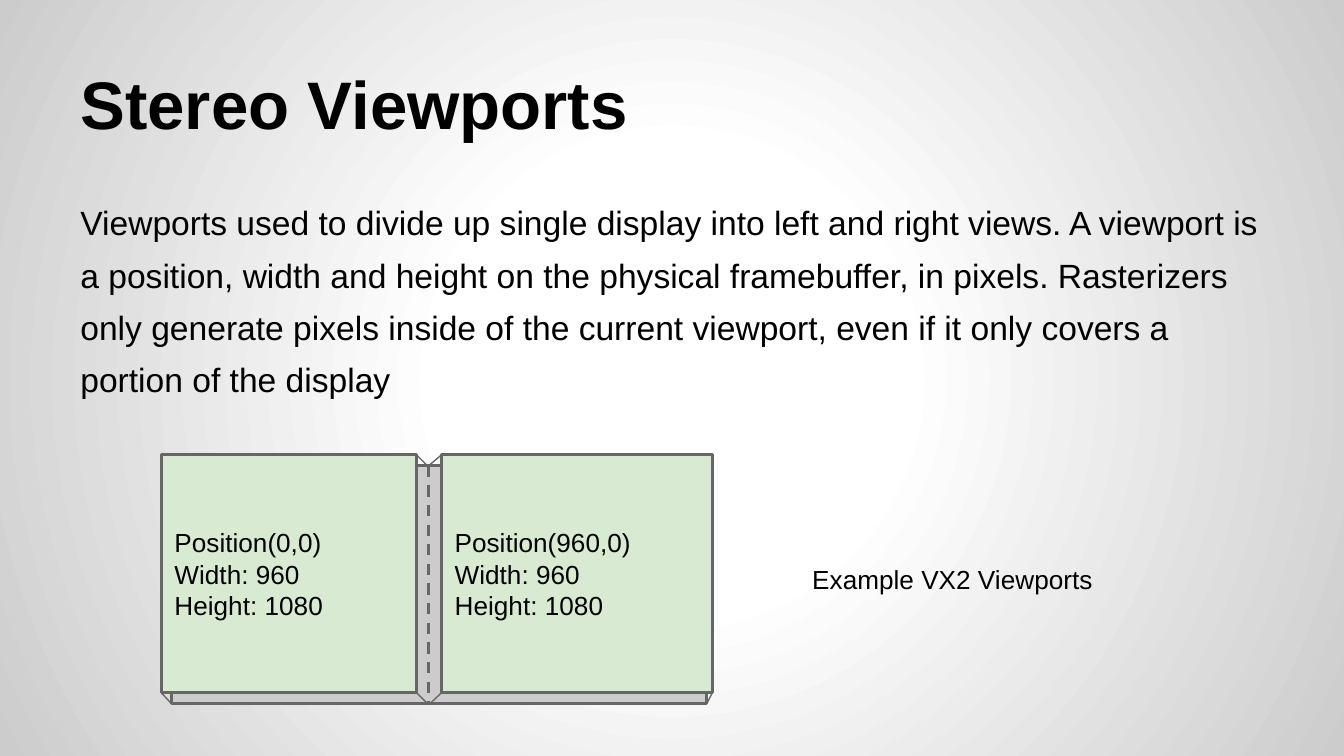
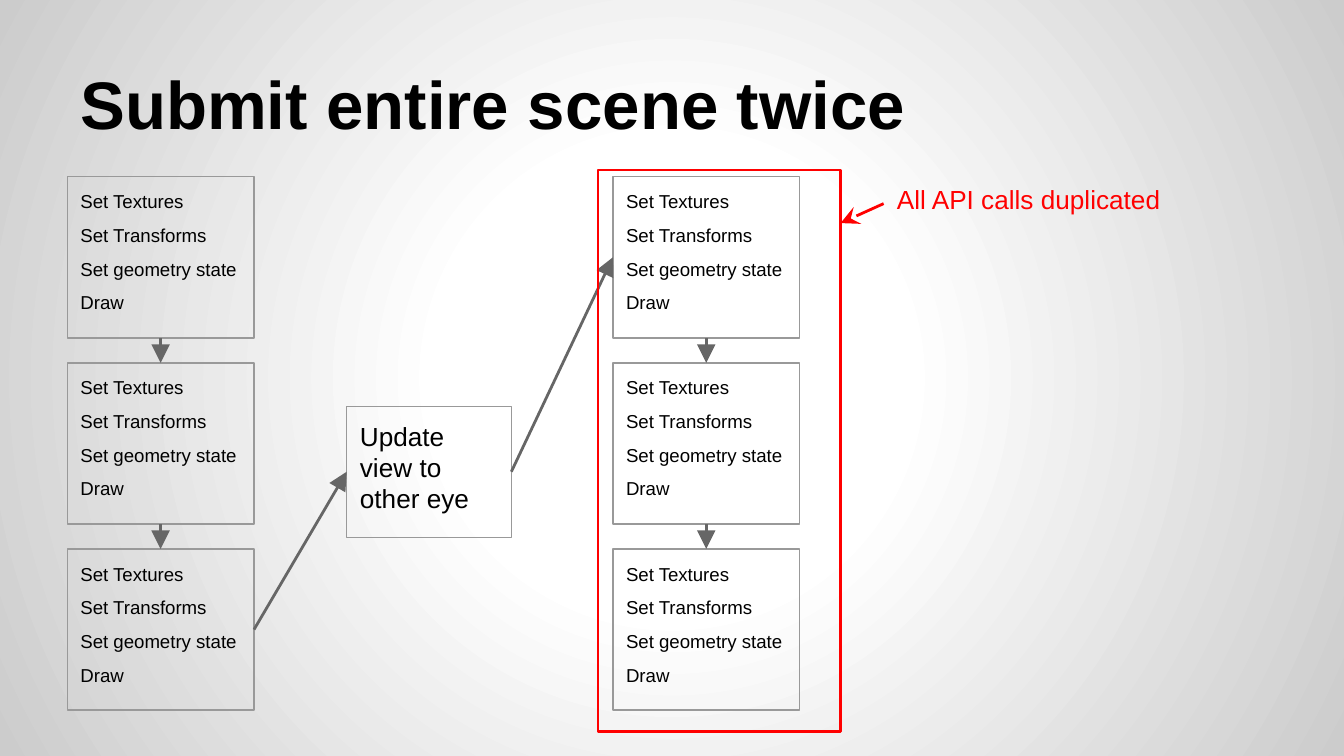
from lxml.etree import SubElement
from pptx import Presentation
from pptx.dml.color import RGBColor
from pptx.enum.dml import MSO_LINE
from pptx.enum.shapes import MSO_CONNECTOR, MSO_SHAPE
from pptx.enum.text import MSO_ANCHOR, PP_ALIGN
from pptx.oxml import parse_xml
from pptx.oxml.ns import nsdecls, qn
from pptx.util import Pt

PX = 4572
FONT = "Arial"
COLORS = {
    "text": "000000",
    "center": "FFFFFF",
    "edge": "CCCCCC",
    "display": "CCCCCC",
    "view": "D9EAD3",
    "line": "666666",
    "card": "999999",
    "accent": "FF0000",
}
CALLS = ["Set Textures", "Set Transforms", "Set geometry state", "Draw"]


def emu(*lengths):
    """Turn px lengths into EMU."""
    return [length * PX for length in lengths]


def rgb(name):
    """Look up a named colour."""
    return RGBColor.from_string(COLORS[name])


def write(sp, lines, size, color="text", bold=False, anchor=MSO_ANCHOR.TOP,
          spacing=None, before=0, after=0):
    """Fill a shape with left-aligned paragraphs."""
    tf = sp.text_frame
    tf.word_wrap = True
    tf.vertical_anchor = anchor
    tf.margin_left = tf.margin_right = tf.margin_top = tf.margin_bottom = 20 * PX
    tf.text = "\n".join(lines)
    for p in tf.paragraphs:
        p.alignment = PP_ALIGN.LEFT
        p.line_spacing = spacing
        p.space_before, p.space_after = Pt(before), Pt(after)
        for r in p.runs:
            r.font.name, r.font.size, r.font.bold = FONT, Pt(size), bold
            r.font.color.rgb = rgb(color)


def add_text(s, box, lines, size, **style):
    """Add a wrapped text box."""
    write(s.shapes.add_textbox(*emu(*box)), lines, size, **style)


def add_box(s, box, line, width, fill=None):
    """Add an outlined rectangle, hollow unless a fill is named."""
    sp = s.shapes.add_shape(MSO_SHAPE.RECTANGLE, *emu(*box))
    sp.shadow.inherit = False
    if fill:
        sp.fill.solid()
        sp.fill.fore_color.rgb = rgb(fill)
    else:
        sp.fill.background()
    sp.line.color.rgb = rgb(line)
    sp.line.width = Pt(width)
    return sp


def add_line(s, start, end, color="line", width=1.5, head=None, dash=None):
    """Add a straight connector with an optional arrowhead at its end."""
    c = s.shapes.add_connector(MSO_CONNECTOR.STRAIGHT, *emu(*start, *end))
    c.line.color.rgb = rgb(color)
    c.line.width = Pt(width)
    if dash:
        c.line.dash_style = dash
    spPr = c.element.spPr
    if head:
        SubElement(spPr.find(qn("a:ln")), qn("a:tailEnd"),
                   type=head, w="lg", len="lg")
    SubElement(spPr, qn("a:effectLst"))


def add_slide(prs, title):
    """Add a blank slide with the radial background and a title."""
    s = prs.slides.add_slide(prs.slide_layouts[6])
    stops = "".join(
        f'<a:gs pos="{pos}"><a:srgbClr val="{COLORS[name]}"/></a:gs>'
        for pos, name in [(0, "center"), (30000, "center"), (100000, "edge")])
    s.element.cSld.insert(0, parse_xml(
        f'<p:bg {nsdecls("p", "a")}><p:bgPr><a:gradFill rotWithShape="1">'
        f'<a:gsLst>{stops}</a:gsLst><a:path path="circle">'
        '<a:fillToRect l="50000" t="50000" r="50000" b="50000"/></a:path>'
        '</a:gradFill><a:effectLst/></p:bgPr></p:bg>'))
    add_text(s, (100, 45, 1800, 188), [title], 36, bold=True,
             anchor=MSO_ANCHOR.BOTTOM)
    return s


def add_viewports(s, box):
    """Draw two viewports raised above a split display."""
    x, y, w, h = box
    depth = 16
    view_h, bottom = h - depth, y + h - depth
    left_end, middle, right_x = x + 380, x + 398, x + 417
    add_box(s, (x + 15, y + depth, w - 24, view_h), "line", 1.5, "display")
    for start, end, pos in [(x, left_end, "0,0"), (right_x, x + w, "960,0")]:
        write(add_box(s, (start, y, end - start, view_h), "line", 1.5, "view"),
              [f"Position({pos})", "Width: 960", "Height: 1080"], 14,
              anchor=MSO_ANCHOR.MIDDLE)
    corners = [(x, bottom, 15), (left_end, bottom, 16), (right_x, bottom, -17),
               (right_x, y, -19), (left_end, y, 16), (x + w, bottom, -8)]
    for cx, cy, dx in corners:
        add_line(s, (cx, cy), (cx + dx, cy + depth), width=0.75)
    add_line(s, (middle, y + depth), (middle, y + h), dash=MSO_LINE.DASH)


def add_call_column(s, box):
    """Stack three call cards joined by arrows inside the box."""
    x, y, w, h = box
    card_h = 240
    pitch = (h - card_h) // 2
    tops = [y + i * pitch for i in range(3)]
    center = x + w // 2
    for top in tops:
        write(add_box(s, (x, top, w, card_h), "card", 0.75), CALLS, 10, before=6)
    for top, below in zip(tops, tops[1:]):
        add_line(s, (center, top + card_h), (center, below), head="triangle")


def add_eye_update(s, box, source, target):
    """Draw the view change between the two passes."""
    x, y, w, h = box
    middle = y + h // 2
    write(add_box(s, box, "card", 0.75), ["Update view to other eye"], 14)
    add_line(s, source, (x, middle), head="triangle")
    add_line(s, (x + w, middle), target, head="triangle")


def add_duplicate_mark(s, box):
    """Frame the repeated pass and label it."""
    x, y, w, h = box
    label_x = x + w + 64
    add_box(s, box, "accent", 1.5)
    add_text(s, (label_x, y, 518, 100), ["All API calls duplicated"], 14,
             color="accent")
    add_line(s, (label_x, y + 50), (x + w, y + 79), "accent", head="stealth")


def build_viewports(prs):
    """Build the stereo viewport slide."""
    s = add_slide(prs, "Stereo Viewports")
    add_text(s, (100, 263, 1800, 814), [
        "Viewports used to divide up single display into left and right views. "
        "A viewport is a position, width and height on the physical framebuffer, "
        "in pixels. Rasterizers only generate pixels inside of the current "
        "viewport, even if it only covers a portion of the display"],
        18, spacing=1.3, after=6)
    add_viewports(s, (240, 677, 820, 370))
    add_text(s, (1189, 818, 478, 86), ["Example VX2 Viewports"], 14)


def build_scene_twice(prs):
    """Build the double submission slide."""
    s = add_slide(prs, "Submit entire scene twice")
    for x in (100, 912):
        add_call_column(s, (x, 263, 278, 794))
    add_eye_update(s, (516, 605, 245, 195), (378, 937), (912, 383))
    add_duplicate_mark(s, (890, 253, 361, 836))


def main():
    """Build and save the presentation."""
    prs = Presentation()
    prs.slide_width, prs.slide_height = emu(2000, 1125)
    build_viewports(prs)
    build_scene_twice(prs)
    prs.save("out.pptx")


if __name__ == "__main__":
    main()
